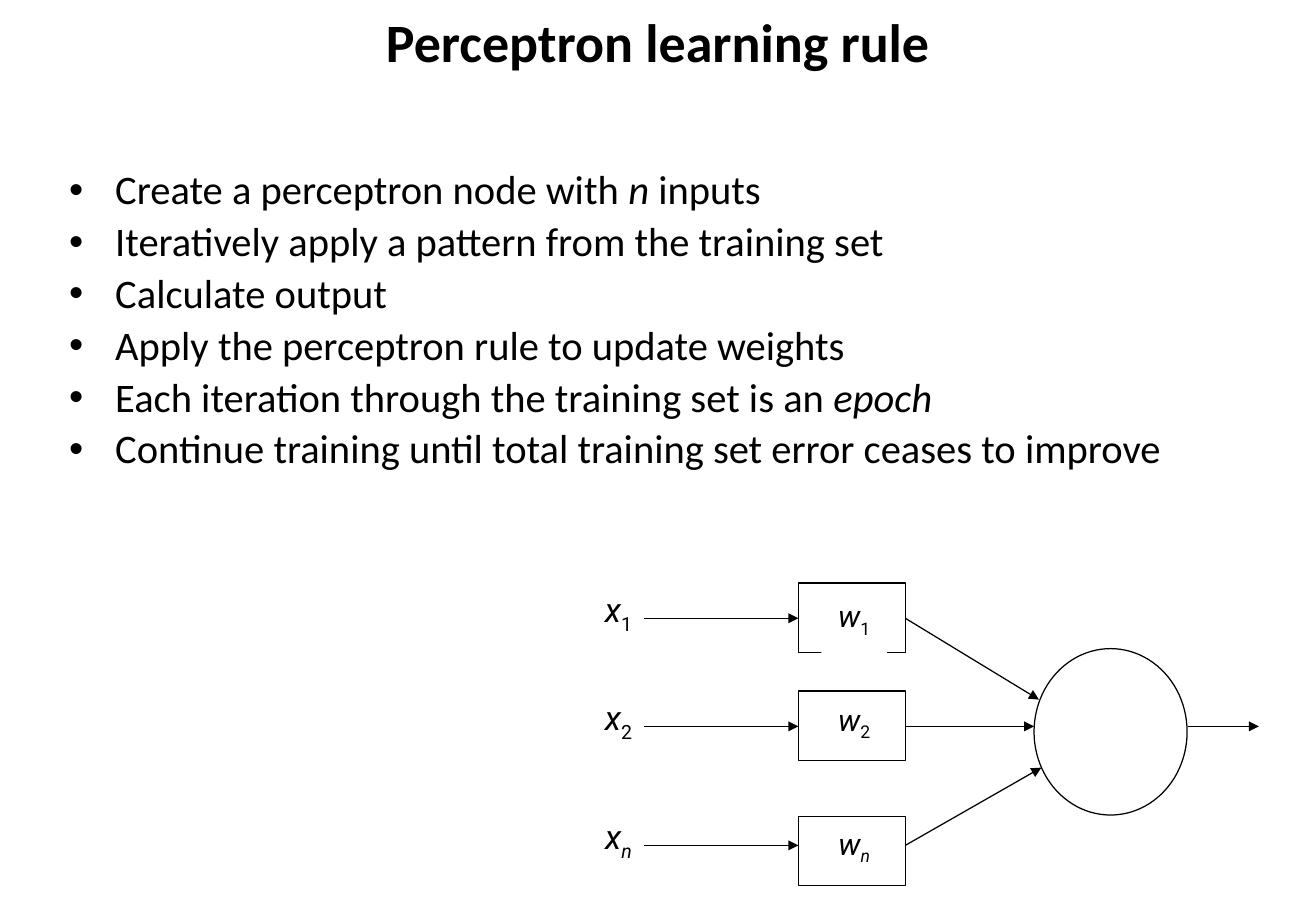
"""Builds the slide on the perceptron learning rule."""
from lxml import etree
from pptx import Presentation
from pptx.dml.color import RGBColor
from pptx.enum.shapes import MSO_CONNECTOR, MSO_SHAPE
from pptx.enum.text import MSO_ANCHOR, PP_ALIGN
from pptx.oxml.ns import qn
from pptx.util import Pt

RECT, OVAL = MSO_SHAPE.RECTANGLE, MSO_SHAPE.OVAL
STRAIGHT = MSO_CONNECTOR.STRAIGHT
CENTER = PP_ALIGN.CENTER
TOP, MIDDLE = MSO_ANCHOR.TOP, MSO_ANCHOR.MIDDLE
BLACK, WHITE = "000000", "FFFFFF"
PX = 9144

TITLE = "Perceptron learning rule"
BULLETS = [
    [("Create a perceptron node with ", False), ("n ", True), ("inputs", False)],
    [("Iteratively apply a pattern from the training set", False)],
    [("Calculate output", False)],
    [("Apply the perceptron rule to update weights", False)],
    [("Each iteration through the training set is an ", False), ("epoch", True)],
    [("Continue training until total training set error ceases to improve", False)],
]
INDENT = 38

# subscript, box top, weight label top, line height, end of arrow at the node
INPUTS = [
    ("1", 480, 487, 509, (855, 576)),
    ("2", 569, 572, 598, (851, 598)),
    ("n", 672, 674, 696, (857, 632)),
]
NODE = (851, 534, 126, 137)
OUTPUT = ((978, 598), (1036, 598))
INPUT_X, INPUT_W, INPUT_H = 484, 50, 55
ARROW_X = 530
BOX_X, BOX_W, BOX_H = 657, 88, 57
LABEL_X, LABEL_W, LABEL_H = 676, 54, 51


def color(value):
    return RGBColor.from_string(value)


def emu(*lengths):
    return [n * PX for n in lengths]


def style_run(r, font, size, italic=False, bold=False):
    r.font.name, r.font.size = font, Pt(size)
    r.font.italic, r.font.bold = italic, bold
    r.font.color.rgb = color(BLACK)


def add_text(x, y, w, h):
    s = slide.shapes.add_textbox(*emu(x, y, w, h))
    s.text_frame.word_wrap = True
    return s


def add_outline(kind, x, y, w, h, line=BLACK):
    s = slide.shapes.add_shape(kind, *emu(x, y, w, h))
    s.shadow.inherit = False
    s.fill.solid()
    s.fill.fore_color.rgb = color(WHITE)
    if line:
        s.line.color.rgb = color(line)
        s.line.width = Pt(0.75)
    else:
        s.line.fill.background()
    return s


def add_arrow(start, end):
    s = slide.shapes.add_connector(STRAIGHT, *emu(*start, *end))
    s.line.color.rgb = color(BLACK)
    s.line.width = Pt(0.75)
    etree.SubElement(s.line._get_or_add_ln(), qn("a:tailEnd"), type="triangle")
    etree.SubElement(s._element.spPr, qn("a:effectLst"))


def write_symbol(s, letter, subscript, size):
    tf = s.text_frame
    tf.vertical_anchor = TOP
    p = tf.paragraphs[0]
    p.alignment = CENTER
    for text in (letter, subscript):
        r = p.add_run()
        r.text = text
        style_run(r, "Roboto", size, italic=text.isalpha())
    r.font._element.set("baseline", "-25000")


def add_bullets():
    tf = add_text(47, 135, 975, 495).text_frame
    for i, parts in enumerate(BULLETS):
        p = tf.add_paragraph() if i else tf.paragraphs[0]
        p.line_spacing = 0.9
        p.space_before = Pt(4.8 if i else 0)
        pPr = p._p.get_or_add_pPr()
        pPr.set("marL", str(INDENT * PX))
        pPr.set("indent", str(-INDENT * PX))
        etree.SubElement(pPr, qn("a:buFont"), typeface="Arial")
        etree.SubElement(pPr, qn("a:buChar"), char="•")
        for text, italic in parts:
            r = p.add_run()
            r.text = text
            style_run(r, "Calibri", 24, italic)


def add_title():
    tf = add_text(54, 1, 975, 66).text_frame
    tf.vertical_anchor = MIDDLE
    tf.text = TITLE
    p = tf.paragraphs[0]
    p.alignment = CENTER
    style_run(p.runs[0], "Calibri", 32, bold=True)


def add_diagram():
    add_outline(OVAL, *NODE)
    for subscript, box_y, label_y, line_y, target in INPUTS:
        add_outline(RECT, BOX_X, box_y, BOX_W, BOX_H)
        s = add_outline(RECT, LABEL_X, label_y, LABEL_W, LABEL_H, line=None)
        write_symbol(s, "w", subscript, 18)
        s = add_text(INPUT_X, line_y - 29, INPUT_W, INPUT_H)
        s.text_frame.word_wrap = False
        write_symbol(s, "x", subscript, 20)
        add_arrow((ARROW_X, line_y), (BOX_X, line_y))
        add_arrow((BOX_X + BOX_W, line_y), target)
    add_arrow(*OUTPUT)


prs = Presentation()
prs.slide_width, prs.slide_height = emu(1083, 750)
slide = prs.slides.add_slide(prs.slide_layouts[6])
add_bullets()
add_diagram()
add_title()
prs.save("out.pptx")
